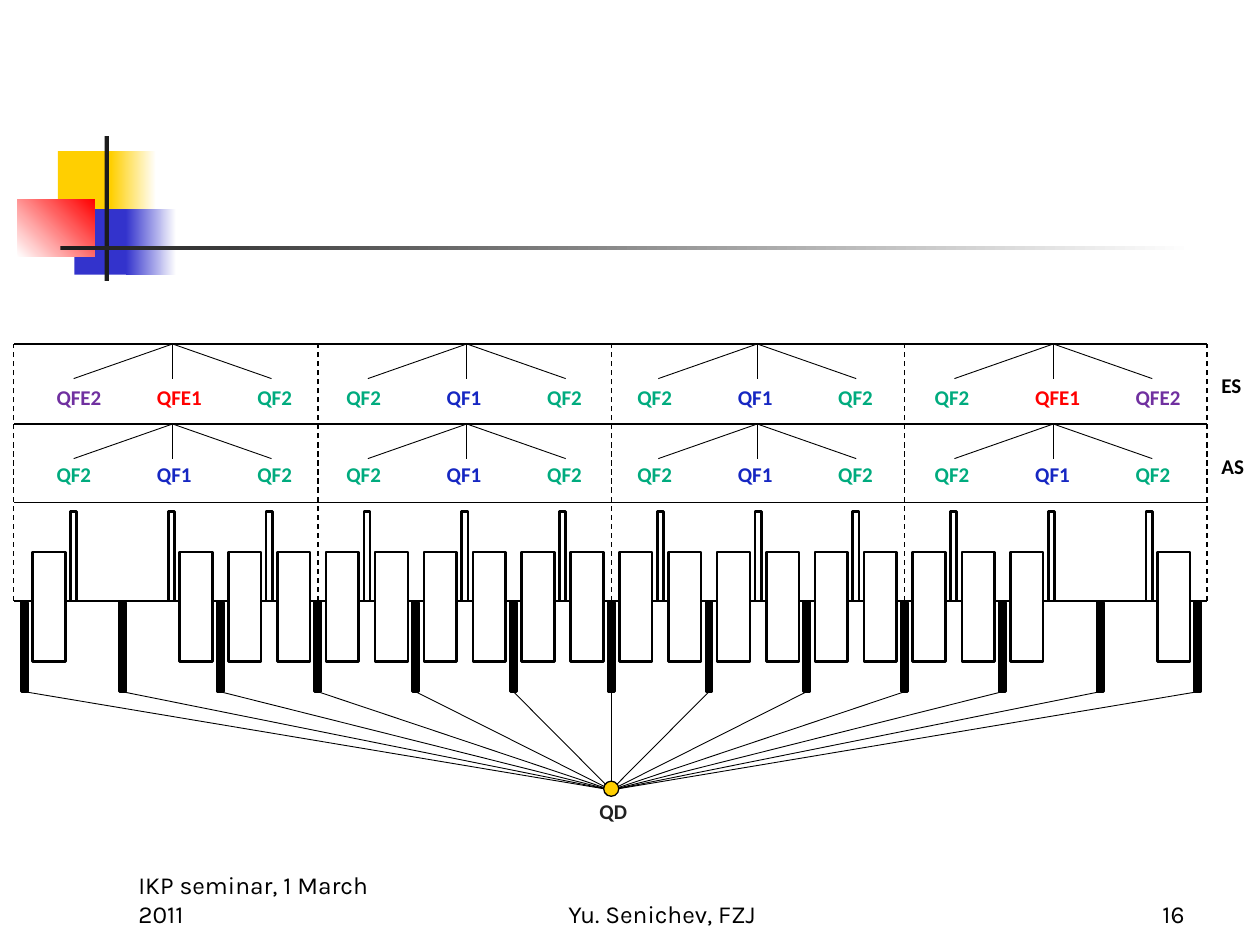
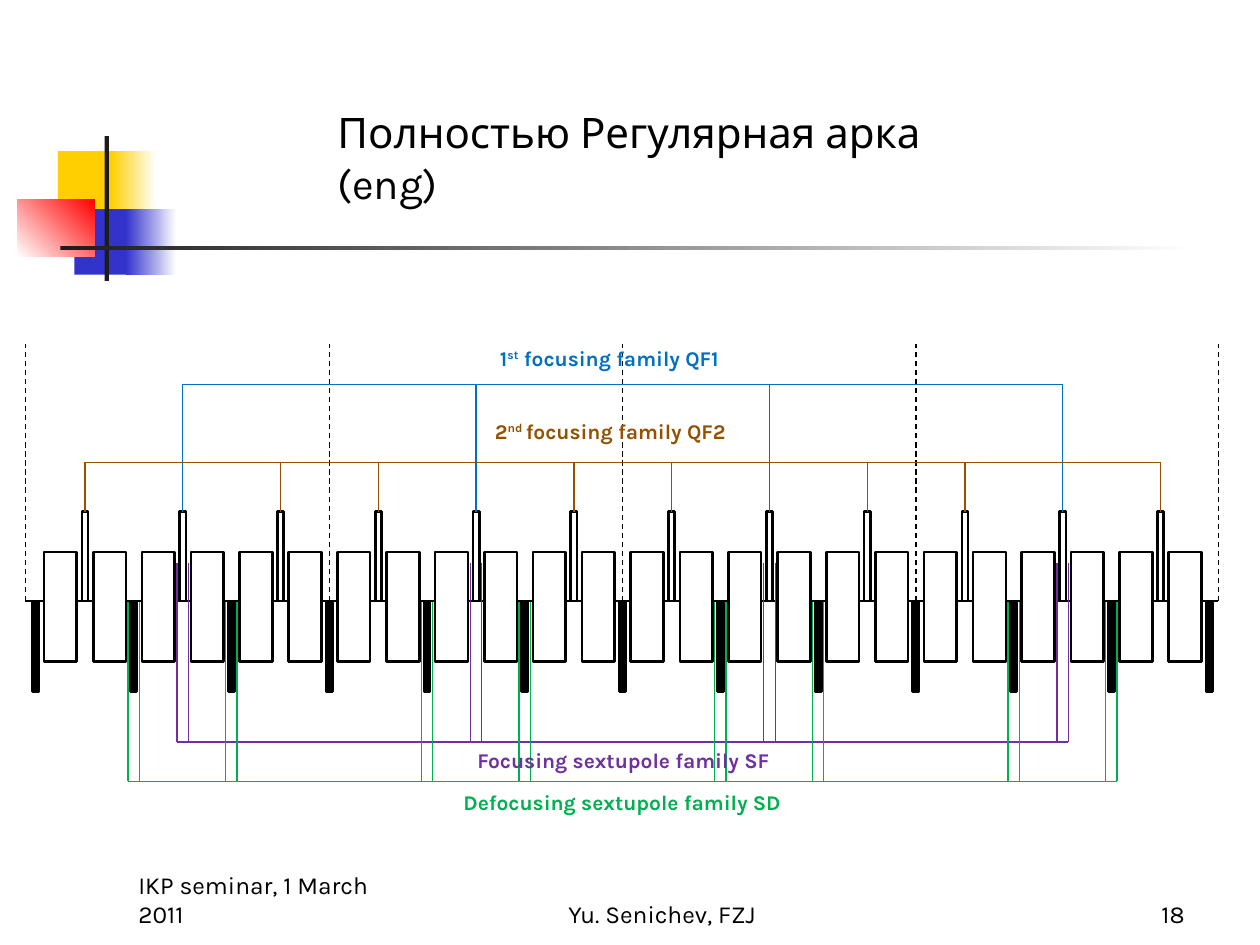
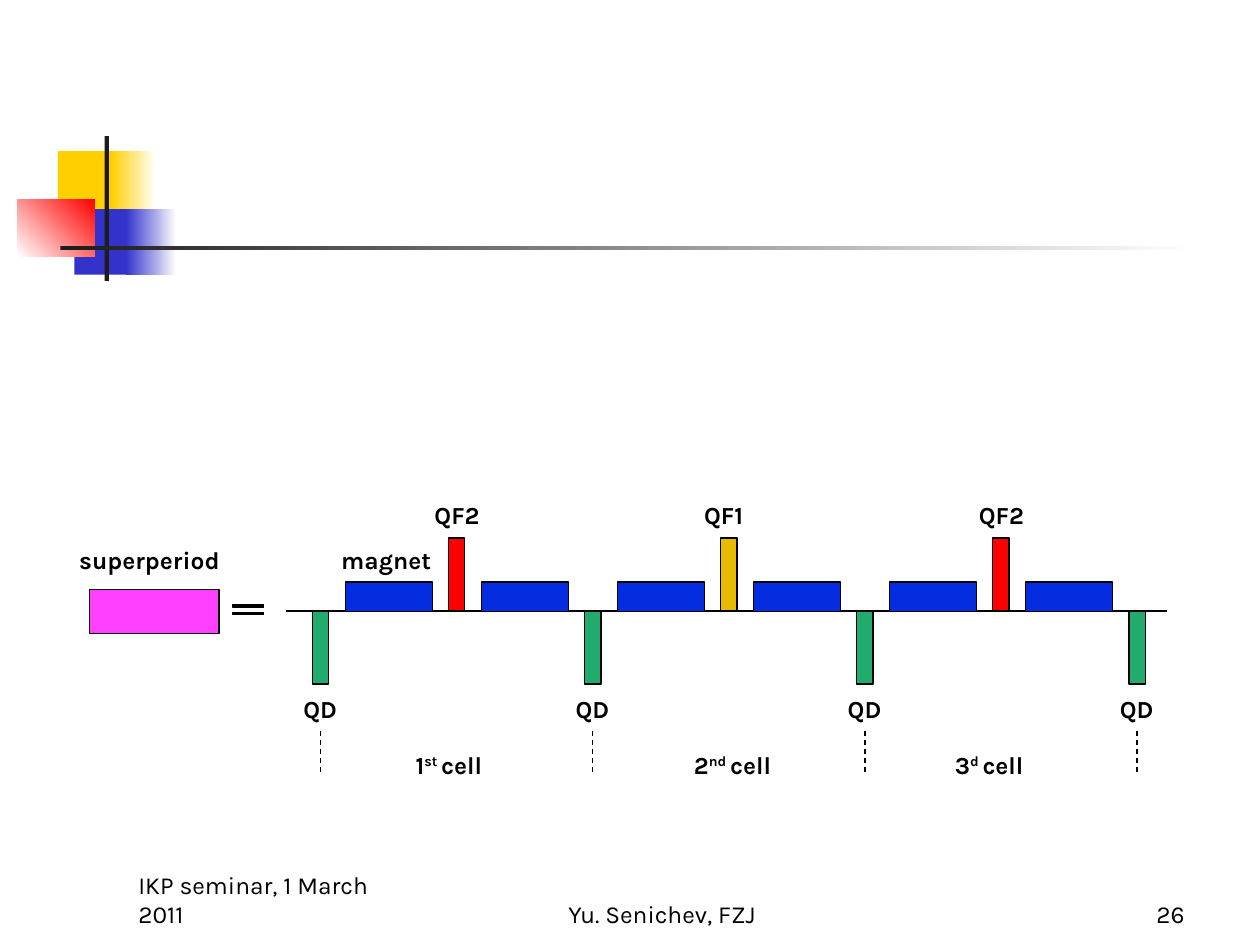
from lxml import etree
from pptx import Presentation
from pptx.dml.color import RGBColor
from pptx.enum.dml import MSO_LINE
from pptx.enum.shapes import MSO_CONNECTOR, MSO_SHAPE
from pptx.enum.text import MSO_ANCHOR, PP_ALIGN
from pptx.oxml.ns import qn
from pptx.util import Inches, Pt

RECT, OVAL = MSO_SHAPE.RECTANGLE, MSO_SHAPE.OVAL
STRAIGHT, DASH = MSO_CONNECTOR.STRAIGHT, MSO_LINE.DASH
LEFT, CENTER, RIGHT = PP_ALIGN.LEFT, PP_ALIGN.CENTER, PP_ALIGN.RIGHT
TOP, BOTTOM = MSO_ANCHOR.TOP, MSO_ANCHOR.BOTTOM

COLUMNS, ROWS = 100, 75
BLACK, WHITE, INK = "000000", "FFFFFF", "1C1C1C"
YELLOW, INDIGO, RED, PURPLE = "FFCF01", "3333CC", "FF0000", "7030A0"
BODY_FONT, DIAGRAM_FONT = "Karla", "Calibri"

# Arc lattice, measured from the left edge of its first defocusing quadrupole
CELLS, PITCH = 12, 7.76
QUAD_WIDTH, QUAD_HEIGHT = 0.5, 7.1
AXIS = 47.7
SECTION_TOP = 27.3


def rgb(hex_string):
    return RGBColor.from_string(hex_string)


class Deck:
    """Draws on the current slide; lengths are grid columns and rows."""

    def __init__(self):
        self.prs = Presentation()
        self.prs.slide_width, self.prs.slide_height = Inches(10), Inches(7.5)
        self.slide = None

    def x(self, columns):
        return round(self.prs.slide_width * columns / COLUMNS)

    def y(self, rows):
        return round(self.prs.slide_height * rows / ROWS)

    def frame(self, left, top, width, height):
        return self.x(left), self.y(top), self.x(width), self.y(height)

    def new_slide(self, number):
        self.slide = self.prs.slides.add_slide(self.prs.slide_layouts[6])
        self.box(4.6, 12, 4.8, 5.2, YELLOW)
        self.fade(8.8, 12, 3.6, 5.2, YELLOW, WHITE)
        self.box(5.9, 16.6, 4.6, 5.2, INDIGO)
        self.fade(10, 16.6, 4, 5.2, INDIGO, WHITE)
        self.fade(1.4, 15.8, 6.1, 4.6, WHITE, RED, angle=45)
        self.box(8.3, 10.8, 0.35, 11.5, INK)
        self.fade(4.8, 19.5, 90, 0.35, INK, WHITE)
        for left, width, align, words in (
            (10, 20.8, LEFT, "IKP seminar, 1 March 2011"),
            (36.7, 31.7, CENTER, "Yu. Senichev, FZJ"),
            (74.2, 20.8, RIGHT, str(number)),
        ):
            self.text(left, 69.2, width, 5, words, size=14, align=align, anchor=BOTTOM)

    def box(self, left, top, width, height, fill=None, weight=0, kind=RECT):
        shape = self.slide.shapes.add_shape(kind, *self.frame(left, top, width, height))
        shape.shadow.inherit = False
        if fill:
            shape.fill.solid()
            shape.fill.fore_color.rgb = rgb(fill)
        else:
            shape.fill.background()
        if weight:
            shape.line.color.rgb = rgb(BLACK)
            shape.line.width = Pt(weight)
        else:
            shape.line.fill.background()
        return shape

    def fade(self, left, top, width, height, start, end, angle=0):
        """Box with a two-colour gradient; the angle runs counter-clockwise."""
        fill = self.box(left, top, width, height).fill
        fill.gradient()
        fill.gradient_angle = angle
        for stop, color in zip(fill.gradient_stops, (start, end)):
            stop.color.rgb = rgb(color)

    def line(self, x1, y1, x2, y2, weight=0.75, color=BLACK, dashed=False):
        connector = self.slide.shapes.add_connector(
            STRAIGHT, self.x(x1), self.y(y1), self.x(x2), self.y(y2))
        connector.line.color.rgb = rgb(color)
        connector.line.width = Pt(weight)
        if dashed:
            connector.line.dash_style = DASH
        etree.SubElement(connector._element.spPr, qn("a:effectLst"))

    def text(self, left, top, width, height, *parts, size=12, color=BLACK, bold=False,
             font=BODY_FONT, align=LEFT, anchor=TOP):
        """Text box of one paragraph; every second part is a superscript."""
        frame = self.slide.shapes.add_textbox(*self.frame(left, top, width, height)).text_frame
        frame.word_wrap = True
        frame.vertical_anchor = anchor
        if align == LEFT:
            frame.margin_right = 0
        paragraph = frame.paragraphs[0]
        paragraph.alignment = align
        for index, part in enumerate(parts):
            run = paragraph.add_run()
            run.text = part
            run.font.name, run.font.size, run.font.bold = font, Pt(size), bold
            run.font.color.rgb = rgb(color)
            if index % 2:
                run._r.get_or_add_rPr().set("baseline", "30000")

    def comb(self, teeth, tip, rail, color):
        """Vertical lines from the tips to one joining rail."""
        for tooth in teeth:
            self.line(tooth, tip, tooth, rail, color=color)
        self.line(teeth[0], rail, teeth[-1], rail, color=color)

    def lattice(self, origin, no_left=(), no_right=()):
        """Draws the arc and returns the centres of its QF and QD quadrupoles."""
        self.line(origin - 0.6, AXIS, origin + 94.1, AXIS, 1.5)
        cells = [origin + PITCH * i for i in range(CELLS + 1)]
        for i, cell in enumerate(cells):
            self.box(cell, 47.8, QUAD_WIDTH, QUAD_HEIGHT, BLACK, 1.5)
            if i == CELLS:
                break
            self.box(cell + 3.9, 40.6, QUAD_WIDTH, QUAD_HEIGHT, weight=1.5)
            for offset, skipped in ((0.9, no_left), (4.8, no_right)):
                if i not in skipped:
                    self.box(cell + offset, 43.8, 2.6, 8.7, WHITE, 1.5)
        defocusing = [cell + QUAD_WIDTH / 2 for cell in cells]
        for border in (origin - 0.6, *defocusing[3:-1:3], origin + 94.1):
            self.line(border, AXIS, border, SECTION_TOP, dashed=True)
        return [center + 3.9 for center in defocusing[:-1]], defocusing


def quadrupole_families(deck):
    deck.new_slide(16)
    _, defocusing = deck.lattice(1.7, no_left=(1, 11), no_right=(0, 10))
    hub_x, hub_y = defocusing[CELLS // 2], 62.7
    for center in defocusing:
        deck.line(center, 54.9, hub_x, hub_y, 0.5)
    deck.box(hub_x - 0.6, 62, 1.2, 1.2, YELLOW, 0.75, OVAL)
    deck.text(46.6, 62.9, 5, 3, "QD", color="212121", bold=True, font=DIAGRAM_FONT)

    family_colors = {"QF1": "1627C2", "QF2": "00AB7E", "QFE1": RED, "QFE2": PURPLE}
    regular = ("QF2", "QF1", "QF2")
    edge_left, edge_right = ("QFE2", "QFE1", "QF2"), ("QF2", "QFE1", "QFE2")
    section_starts = (3.5, 26.5, 49.6, 73.2)
    apexes = (13.7, 37.05, 60.1, 83.6)
    bands = (
        ("ES", SECTION_TOP, 30, 29.1, (edge_left, regular, regular, edge_right)),
        ("AS", 33.65, 36.15, 35.5, (regular,) * 4),
    )
    for name, rail, label_top, name_top, sections in bands:
        deck.line(1.1, rail, 95.8, rail)
        deck.text(95.95, name_top, 4, 3, name, bold=True, font=DIAGRAM_FONT)
        for start, apex, families in zip(section_starts, apexes, sections):
            for i, family in enumerate(families):
                deck.line(apex, rail, apex + 7.85 * (i - 1), rail + 2.75, 0.5)
                deck.text(start + 7.97 * i, label_top, 5.9, 3, family,
                          color=family_colors[family], bold=True, font=DIAGRAM_FONT)
    deck.line(1.1, 39.9, 95.9, 39.9)


def regular_arc(deck):
    deck.new_slide(18)
    focusing, defocusing = deck.lattice(2.6)
    qf1 = focusing[1::3]
    qf2 = [center for center in focusing if center not in qf1]
    sd = [center for i, center in enumerate(defocusing) if i % 3]

    def both_sides(centers):
        return [center + side for center in centers for side in (-0.45, 0.45)]

    blue, brown, green = "0070C0", "945200", "00B050"
    deck.comb(both_sides(qf1), 44.7, 58.9, PURPLE)
    deck.comb(both_sides(sd), 47.8, 62, green)
    deck.comb(qf1, 40.6, 30.5, blue)
    deck.comb(qf2, 40.6, 36.7, brown)

    deck.text(25.8, 8, 52, 5, "Полностью Регулярная арка (eng)", size=24)
    for left, top, color, parts in (
        (36.9, 58.8, PURPLE, ["Focusing sextupole family SF"]),
        (35.8, 62.2, green, ["Defocusing sextupole family SD"]),
        (38.7, 26.9, blue, ["1", "st", " focusing family QF1"]),
        (38.3, 32.7, brown, ["2", "nd ", "focusing family QF2"]),
    ):
        deck.text(left, top, 30, 3, *parts, color=color, bold=True)


def superperiod(deck):
    deck.new_slide(26)
    axis, cell_pitch, quad_width, quad_height = 48.5, 21.6, 1.3, 5.8
    first_quad = 24.8

    def label(left, top, *parts):
        deck.text(left, top, 14, 3.4, *parts, size=14, bold=True)

    deck.line(22.7, axis, 92.6, axis, 1)
    for i in range(6):
        deck.box(27.4 + cell_pitch / 2 * i, 46.2, 6.9, 2.35, "042CE1", 0.75)
    cells = (
        ("QF2", RED, 33.5, 32, ("1", "st ", "cell")),
        ("QF1", "E7BB01", 54.9, 54.1, ("2", "nd ", "cell")),
        ("QF2", RED, 76.7, 74.8, ("3", "d ", "cell")),
    )
    for i, (quad, color, quad_left, name_left, name) in enumerate(cells):
        deck.box(first_quad + cell_pitch * (i + 0.5), axis - quad_height,
                 quad_width, quad_height, color, 0.75)
        label(quad_left, 39.2, quad)
        label(name_left, 59, *name)
    for i in range(len(cells) + 1):
        left = first_quad + cell_pitch * i
        center = left + quad_width / 2
        deck.box(left, axis, quad_width, quad_height, "20AC6F", 0.75)
        label(left - 1.7, 54.6, "QD")
        deck.line(center, 58, center, 61.3, dashed=True)

    deck.box(7.1, 46.8, 10.3, 3.5, "FF40FF", 0.75)
    for equals_bar in (48, 48.6):
        deck.box(18.5, equals_bar, 2.4, 0.2, BLACK, 0.75)
    label(5.3, 42.8, "superperiod")
    label(26.1, 42.8, "magnet")


def main():
    deck = Deck()
    quadrupole_families(deck)
    regular_arc(deck)
    superperiod(deck)
    deck.prs.save("out.pptx")


if __name__ == "__main__":
    main()
